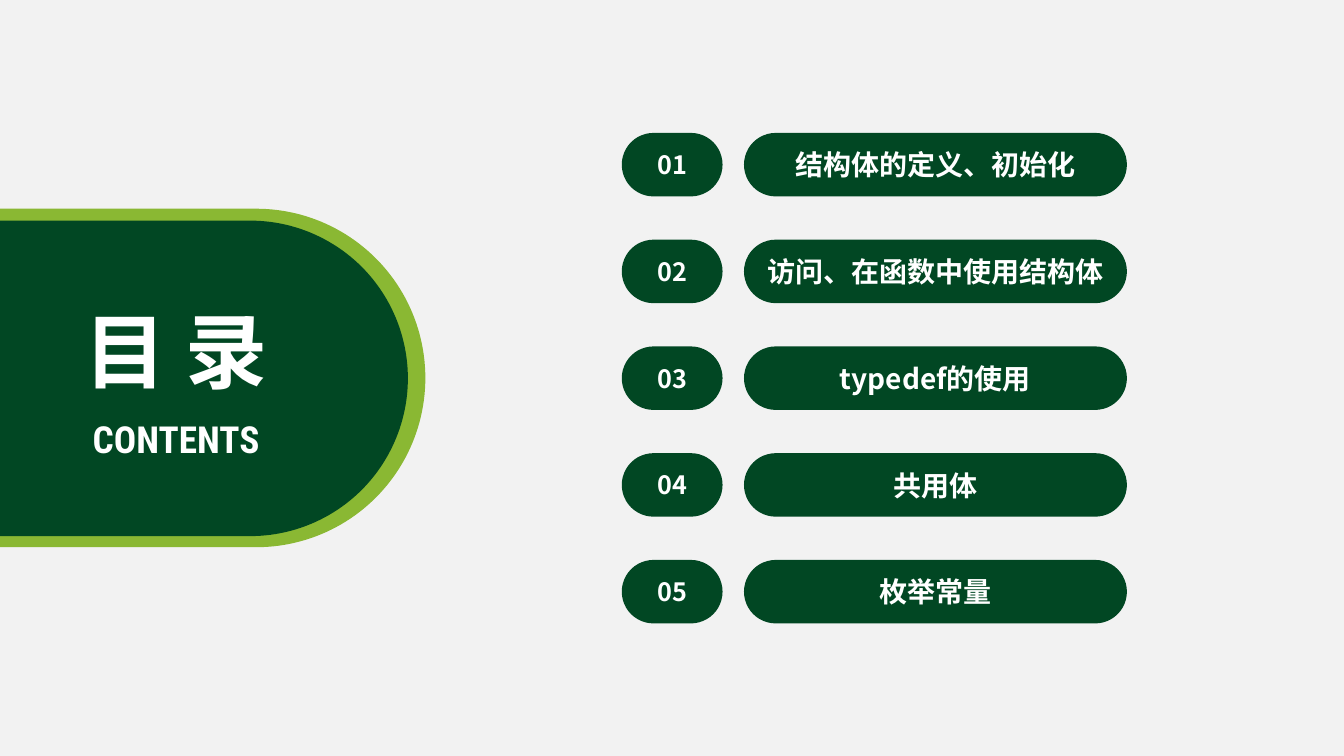
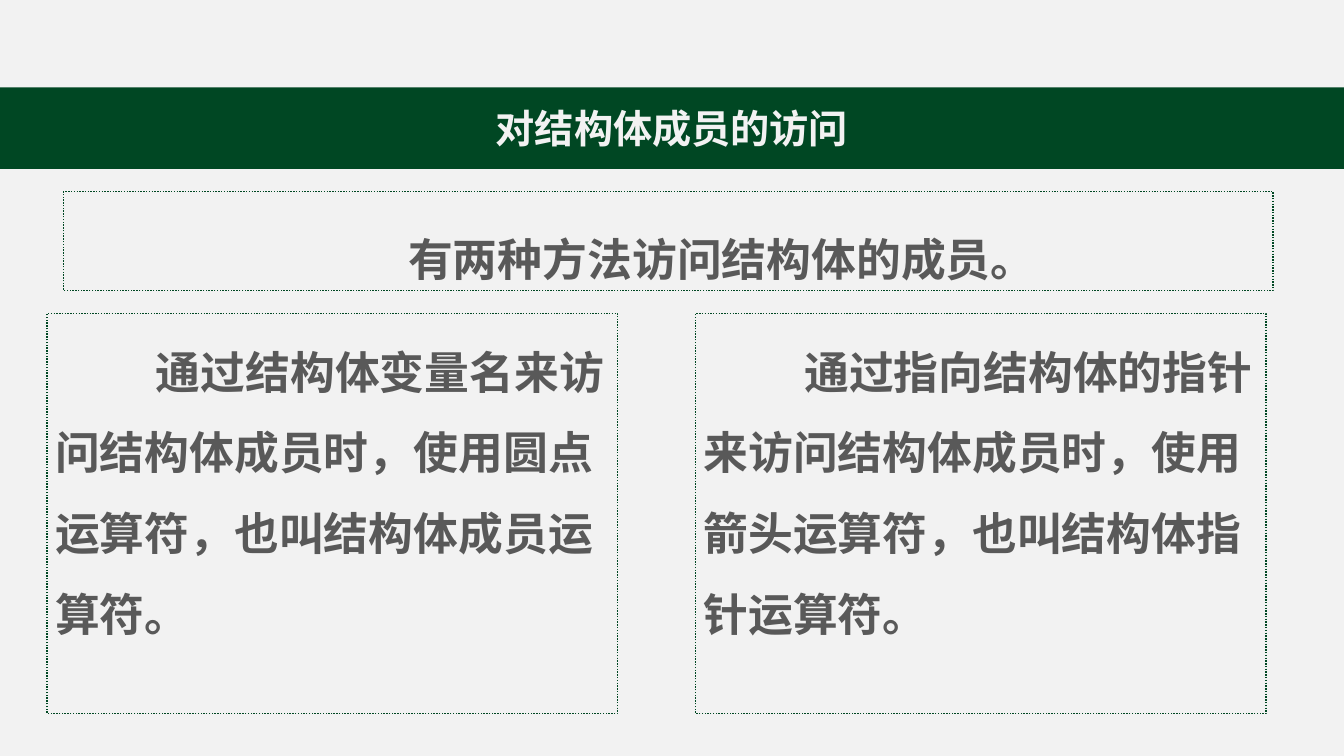
from dataclasses import dataclass

from lxml.etree import SubElement
from pptx import Presentation
from pptx.dml.color import RGBColor
from pptx.enum.dml import MSO_LINE_DASH_STYLE as Dash
from pptx.enum.shapes import MSO_AUTO_SHAPE_TYPE as Shape
from pptx.enum.text import MSO_ANCHOR as Anchor
from pptx.enum.text import MSO_AUTO_SIZE as AutoSize
from pptx.enum.text import PP_ALIGN as Align
from pptx.oxml.ns import qn
from pptx.util import Cm, Pt

SLIDE_W, SLIDE_H = 33.87, 19.05


@dataclass(frozen=True)
class Theme:
    """Colours, fonts and type sizes shared by all slides."""
    paper: str = "F2F2F2"
    pill: str = "014723"
    band: str = "004723"
    lime: str = "8AB833"
    white: str = "FFFFFF"
    body: str = "595959"
    cjk_font: str = "Noto Sans CJK SC"
    latin_font: str = "Roboto Condensed"
    cover_size: float = 58.6
    cover_sub_size: float = 26.6
    body_size: float = 32
    title_size: float = 28
    item_size: float = 20
    number_size: float = 18
    first_line: float = 2.54
    line_spacing: float = 1.5


def write(frame, text, *, size, color, font, align=Align.CENTER,
          spacing=None, first_line=None):
    """Put one bold paragraph into a text frame."""
    paragraph = frame.paragraphs[0]
    paragraph.alignment = align
    if spacing:
        paragraph.line_spacing = spacing
    if first_line:
        properties = paragraph._p.get_or_add_pPr()
        properties.set("marL", "0")
        properties.set("indent", str(Cm(first_line)))
    run = paragraph.add_run()
    run.text = text
    run.font.size = Pt(size)
    run.font.bold = True
    run.font.color.rgb = RGBColor.from_string(color)
    run.font.name = font
    SubElement(run._r.get_or_add_rPr(), qn("a:ea"), typeface=font)


class Deck:
    """Holds the style and the slide being built."""

    def __init__(self, theme):
        self.theme = theme
        self.prs = Presentation()
        self.prs.slide_width, self.prs.slide_height = Cm(SLIDE_W), Cm(SLIDE_H)
        paper = self.prs.slide_master.background.fill
        paper.solid()
        paper.fore_color.rgb = RGBColor.from_string(theme.paper)
        self.slide = None

    def new_slide(self):
        self.slide = self.prs.slides.add_slide(self.prs.slide_layouts[6])

    def block(self, kind, box, fill=None):
        """A plain shape without shadow or outline."""
        shape = self.slide.shapes.add_shape(kind, *map(Cm, box))
        shape.shadow.inherit = False
        shape.line.fill.background()
        if fill:
            shape.fill.solid()
            shape.fill.fore_color.rgb = RGBColor.from_string(fill)
        else:
            shape.fill.background()
        shape.text_frame.vertical_anchor = Anchor.MIDDLE
        return shape

    def pill(self, box, fill, text=None, size=None):
        pill = self.block(Shape.ROUNDED_RECTANGLE, box, fill)
        pill.adjustments[0] = 0.5
        if text:
            write(pill.text_frame, text, size=size, color=self.theme.white,
                  font=self.theme.cjk_font)

    def title_band(self, text):
        band = self.block(Shape.RECTANGLE, (0, 2.2, SLIDE_W, 2.06),
                          self.theme.band)
        write(band.text_frame, text, size=self.theme.title_size,
              color=self.theme.paper, font=self.theme.cjk_font)

    def dotted_frame(self, box):
        line = self.block(Shape.RECTANGLE, box).line
        line.color.rgb = RGBColor.from_string(self.theme.band)
        line.width = Pt(1)
        line.dash_style = Dash.ROUND_DOT

    def label(self, box, text, **style):
        """A single unwrapped line in white."""
        frame = self.slide.shapes.add_textbox(*map(Cm, box)).text_frame
        frame.word_wrap = False
        frame.auto_size = AutoSize.SHAPE_TO_FIT_TEXT
        write(frame, text, color=self.theme.white, **style)

    def body_text(self, box, text, align=Align.LEFT):
        """A wrapped paragraph with an indented first line."""
        frame = self.slide.shapes.add_textbox(*map(Cm, box)).text_frame
        frame.word_wrap = True
        frame.auto_size = AutoSize.SHAPE_TO_FIT_TEXT
        frame.margin_left = frame.margin_right = 0
        frame.margin_top = frame.margin_bottom = 0
        write(frame, text, size=self.theme.body_size, color=self.theme.body,
              font=self.theme.cjk_font, align=align,
              spacing=self.theme.line_spacing,
              first_line=self.theme.first_line)


def contents_slide(deck):
    theme = deck.theme
    deck.new_slide()

    # Side panel running in from the left edge
    deck.pill((-4.98, 5.26, 15.7, 8.53), theme.lime)
    deck.pill((-4.32, 5.56, 14.6, 7.95), theme.pill)
    deck.label((1.57, 10.36, 5.74, 1.4), "CONTENTS",
               size=theme.cover_sub_size, font=theme.latin_font)
    deck.label((1.78, 7.44, 5.31, 2.77), "目 录",
               size=theme.cover_size, font=theme.cjk_font)

    # Numbered chapters
    chapters = ["结构体的定义、初始化", "访问、在函数中使用结构体",
                "typedef的使用", "共用体", "枚举常量"]
    first_top, pitch, height = 3.35, 2.69, 1.6
    for index, chapter in enumerate(chapters):
        top = first_top + index * pitch
        deck.pill((15.67, top, 2.54, height), theme.pill,
                  f"{index + 1:02}", theme.number_size)
        deck.pill((18.75, top, 9.65, height), theme.pill,
                  chapter, theme.item_size)


def member_access_slide(deck):
    deck.new_slide()
    deck.title_band("对结构体成员的访问")

    # Lead sentence
    deck.dotted_frame((1.6, 4.83, 30.48, 2.49))
    deck.body_text((2.26, 5.16, 29.34, 1.8), "有两种方法访问结构体的成员。",
                   align=Align.CENTER)

    # The two ways, side by side
    ways = [
        "通过结构体变量名来访问结构体成员时，使用圆点运算符，也叫结构体成员运算符。",
        "通过指向结构体的指针来访问结构体成员时，使用箭头运算符，也叫结构体指针运算符。",
    ]
    first_left, pitch, top = 1.19, 16.34, 7.9
    for index, way in enumerate(ways):
        left = first_left + index * pitch
        deck.dotted_frame((left, top, 14.38, 10.08))
        deck.body_text((left + 0.2, top + 0.1, 13.94, 7.98), way)


def main():
    deck = Deck(Theme())
    contents_slide(deck)
    member_access_slide(deck)
    deck.prs.save("out.pptx")


if __name__ == "__main__":
    main()
